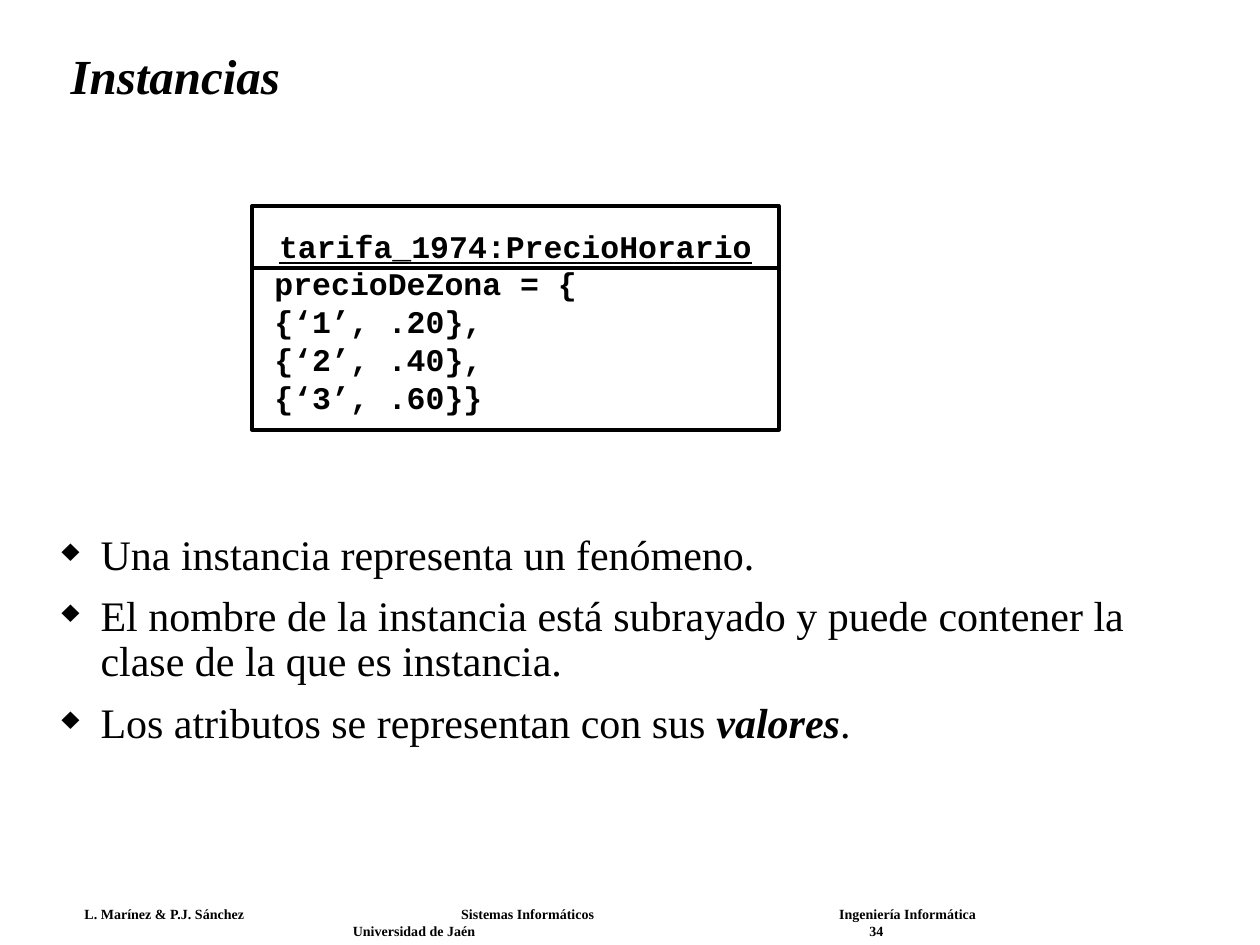
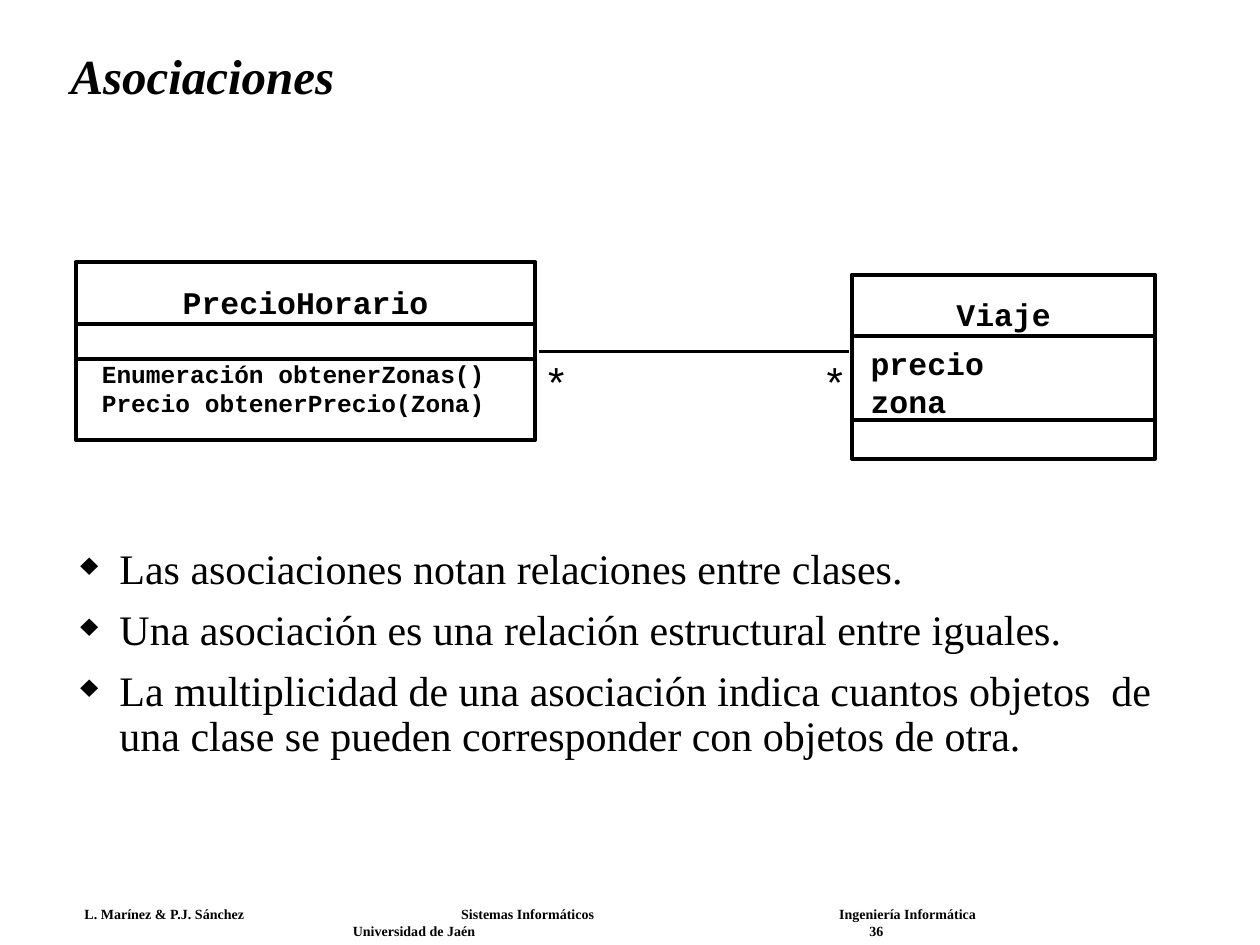
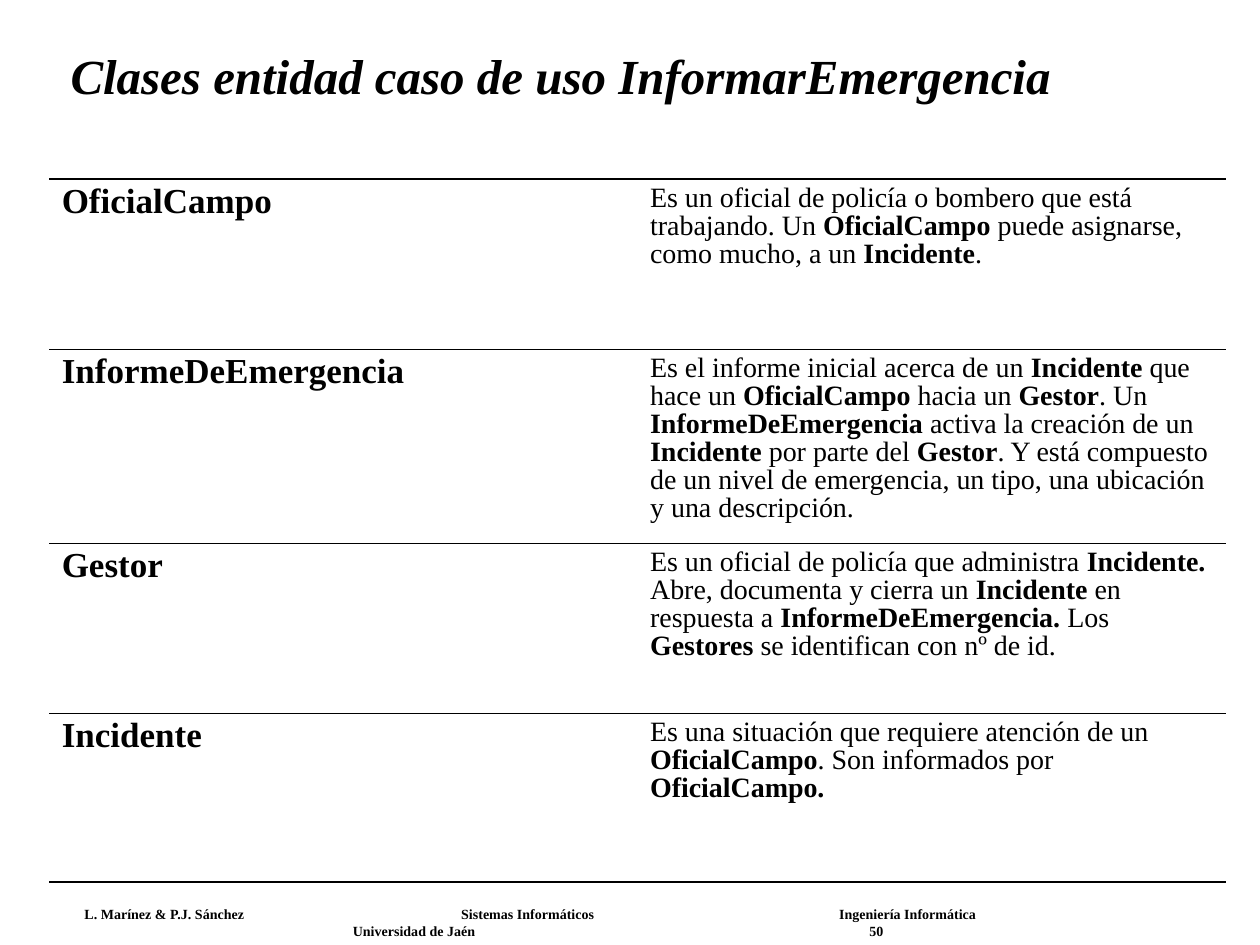
import dataclasses

import lxml.etree
import pptx
import pptx.dml.color
import pptx.enum.shapes
import pptx.enum.text
import pptx.oxml.ns
import pptx.util

ALIGN = pptx.enum.text.PP_ALIGN
ANCHOR = pptx.enum.text.MSO_ANCHOR
qn = pptx.oxml.ns.qn


@dataclasses.dataclass(frozen=True)
class Theme:
    ink: str = "000000"
    serif: str = "Times New Roman"
    mono: str = "Courier New"
    sans: str = "Arial"
    title: int = 28
    body: int = 24
    term: int = 20
    code: int = 18
    detail: int = 16
    method: int = 14
    footer: int = 8
    leading: float = 0.9
    stroke: float = 2.25
    hairline: float = 0.45
    edge: float = 1.08


class Deck:
    """Builds slides on a grid of 100 columns by 75 rows."""

    def __init__(self, theme):
        self.theme = theme
        self.prs = pptx.Presentation()
        self.prs.slide_width = pptx.util.Inches(10)
        self.prs.slide_height = pptx.util.Inches(7.5)
        self.ink = pptx.dml.color.RGBColor.from_string(theme.ink)

    def grid(self, *cells):
        unit = self.prs.slide_width / 100
        return [pptx.util.Emu(round(c * unit)) for c in cells]

    def sub(self, parent, tag, **attrs):
        return lxml.etree.SubElement(parent, qn(tag), attrs)

    def slide(self, title, number):
        self.s = self.prs.slides.add_slide(self.prs.slide_layouts[5])
        sp = self.s.shapes.title
        sp.left, sp.top, sp.width, sp.height = self.grid(4.6, 2.4, 89.2, 7.7)
        self.frame(sp.text_frame, ANCHOR.MIDDLE)
        self.fill_text(sp.text_frame, [title], self.theme.title, bold=True, italic=True,
                       leading=self.theme.leading)
        self.footer(number)

    def footer(self, number):
        lines = [("L. Marínez & P.J. Sánchez\tSistemas Informáticos\tIngeniería Informática", (29.9, 59.9)),
                 (f"\tUniversidad de Jaén\t{number}", (21.3, 62.3))]
        tf = self.text([line for line, stops in lines], 5.9, 71.5, 86.5, 3.3,
                       self.theme.footer, self.theme.serif, bold=True, inset=(0.8, 0.4))
        for p, (line, stops) in zip(tf.paragraphs, lines):
            tabs = self.sub(p._p.get_or_add_pPr(), "a:tabLst")
            for stop in self.grid(*stops):
                self.sub(tabs, "a:tab", pos=str(stop), algn="l")

    def frame(self, tf, anchor=ANCHOR.TOP, inset=(1, 0.5), wrap=True):
        tf.word_wrap = wrap
        tf.auto_size = pptx.enum.text.MSO_AUTO_SIZE.NONE
        tf.vertical_anchor = anchor
        tf.margin_left, tf.margin_top = tf.margin_right, tf.margin_bottom = self.grid(*inset)

    def fill_text(self, tf, lines, size, font=None, bold=False, italic=False, underline=False,
                  align=ALIGN.LEFT, leading=None, before=None, accent_italic=False):
        tf.text = "\n".join(lines)
        for p, line in zip(tf.paragraphs, lines):
            p.alignment, p.line_spacing = align, leading
            if before is not None:
                p.space_before = pptx.util.Pt(before)
            p.clear()
            for i, part in enumerate(line.split("|")):
                if not part:
                    continue
                accent = i % 2 == 1
                r = p.add_run()
                r.text = part
                r.font.size = pptx.util.Pt(size)
                r.font.name = font or self.theme.serif
                r.font.bold = bold or accent
                r.font.italic = italic or (accent and accent_italic)
                r.font.underline = underline
                r.font.color.rgb = self.ink

    def text(self, lines, x, y, w, h, size, font, anchor=ANCHOR.TOP, inset=(1, 0.5),
             wrap=True, **style):
        tf = self.s.shapes.add_textbox(*self.grid(x, y, w, h)).text_frame
        self.frame(tf, anchor, inset, wrap)
        self.fill_text(tf, lines, size, font, **style)
        return tf

    def bullets(self, lines, x, y, w, h):
        th = self.theme
        tf = self.text(lines, x, y, w, h, th.body, th.serif, leading=th.leading,
                       before=9, accent_italic=True)
        indent = self.grid(3.1)[0]
        for p in tf.paragraphs:
            pPr = p._p.get_or_add_pPr()
            pPr.set("marL", str(indent))
            pPr.set("indent", str(-indent))
            self.sub(self.sub(pPr, "a:buClr"), "a:srgbClr", val=th.ink)
            self.sub(pPr, "a:buSzPct", val="75000")
            self.sub(pPr, "a:buChar", char="♦")

    def uml_class(self, name, x, y, w, heights, underline=False):
        top = y
        for h in heights:
            sp = self.s.shapes.add_shape(pptx.enum.shapes.MSO_SHAPE.RECTANGLE,
                                         *self.grid(x, top, w, h))
            sp.shadow.inherit = False
            sp.fill.background()
            self.stroke(sp.line)
            top += h
        name_w = 1.5 * len(name)
        self.code([name], x + (w - name_w) / 2, y + 1.65, name_w, 3,
                  inset=(0, 0), wrap=False, align=ALIGN.CENTER, underline=underline)

    def code(self, lines, x, y, w, h, size=None, **style):
        self.text(lines, x, y, w, h, size or self.theme.code, self.theme.mono, bold=True, **style)

    def stroke(self, line):
        line.color.rgb = self.ink
        line.width = pptx.util.Pt(self.theme.stroke)

    def association(self, x1, x2, y):
        cx = self.s.shapes.add_connector(pptx.enum.shapes.MSO_CONNECTOR.STRAIGHT,
                                         *self.grid(x1, y, x2, y))
        self.stroke(cx.line)
        self.sub(cx._element.spPr, "a:effectLst")

    def multiplicity(self, x, y):
        self.text(["*"], x, y, 3.3, 5, self.theme.body, self.theme.sans,
                  anchor=ANCHOR.MIDDLE, align=ALIGN.CENTER)

    def border(self, cell, top, bottom):
        tcPr = cell._tc.get_or_add_tcPr()
        for side in ("a:lnL", "a:lnR"):
            self.sub(self.sub(tcPr, side, w="0"), "a:noFill")
        for side, width in (("a:lnT", top), ("a:lnB", bottom)):
            ln = self.sub(tcPr, side, w=str(pptx.util.Pt(width)))
            self.sub(self.sub(ln, "a:solidFill"), "a:srgbClr", val=self.theme.ink)

    def glossary(self, entries, x, y, w, heights):
        th = self.theme
        table = self.s.shapes.add_table(len(entries), 2, *self.grid(x, y, w, sum(heights))).table
        table.first_row = table.horz_banding = False
        rules = [th.edge] + [th.hairline] * (len(entries) - 1) + [th.edge]
        for i, (entry, h) in enumerate(zip(entries, self.grid(*heights))):
            table.rows[i].height = h
            columns = zip(table.rows[i].cells, entry, (th.term, th.detail), (7.5, 6), (True, False))
            for cell, line, size, before, bold in columns:
                self.border(cell, rules[i], rules[i + 1])
                cell.fill.background()
                self.fill_text(cell.text_frame, [line], size, bold=bold,
                               leading=th.leading, before=before)


def main():
    deck = Deck(Theme())

    deck.slide("Instancias", 34)
    deck.bullets(["Una instancia representa un fenómeno.",
                  "El nombre de la instancia está subrayado y puede contener la clase de la que es instancia.",
                  "Los atributos se representan con sus |valores|."], 3.9, 41.9, 90.3, 26.1)
    deck.code(["precioDeZona = {", "{‘1’, .20},", "{‘2’, .40},", "{‘3’, .60}}"],
              20.8, 20.5, 38, 13)
    deck.uml_class("tarifa_1974:PrecioHorario", 20, 16.35, 41.8, (4.95, 12.8), underline=True)

    deck.slide("Asociaciones", 36)
    deck.bullets(["Las asociaciones notan relaciones entre clases.",
                  "Una asociación es una relación estructural entre iguales.",
                  "La multiplicidad de una asociación indica cuantos objetos  de una clase "
                  "se pueden corresponder con objetos de otra."], 5.4, 43, 90.3, 25.4)
    deck.uml_class("PrecioHorario", 6, 20.8, 36.5, (4.9, 2.8, 6.4))
    deck.code(["Enumeración obtenerZonas()", "Precio obtenerPrecio(Zona)"],
              7.1, 28, 36.2, 5.7, deck.theme.method)
    deck.uml_class("Viaje", 67.6, 21.8, 24.1, (4.85, 6.65, 3.1))
    deck.code(["precio", "zona"], 69.1, 27.3, 9, 6, inset=(0, 0), wrap=False)
    deck.association(42.8, 67.4, 27.9)
    for x in (42.5, 64.6):
        deck.multiplicity(x, 27.7)

    deck.slide("Clases entidad caso de uso InformarEmergencia", 50)
    deck.glossary([
        ("OficialCampo",
         "Es un oficial de policía o bombero que está trabajando. Un |OficialCampo| puede "
         "asignarse, como mucho, a un |Incidente|."),
        ("InformeDeEmergencia",
         "Es el informe inicial acerca de un |Incidente| que hace un |OficialCampo| hacia un "
         "|Gestor|. Un |InformeDeEmergencia |activa la creación de un |Incidente| por parte del "
         "|Gestor|. Y está compuesto de un nivel de emergencia, un tipo, una ubicación y una "
         "descripción."),
        ("Gestor",
         "Es un oficial de policía que administra |Incidente. |Abre, documenta y cierra un "
         "|Incidente| en respuesta a |InformeDeEmergencia. |Los |Gestores| se identifican con "
         "nº de id."),
        ("Incidente",
         "Es una situación que requiere atención de un |OficialCampo|. Son informados por "
         "|OficialCampo.|"),
    ], 3.9, 14.2, 93.4, (13.5, 15.4, 13.5, 13.4))

    deck.prs.save("out.pptx")


if __name__ == "__main__":
    main()
